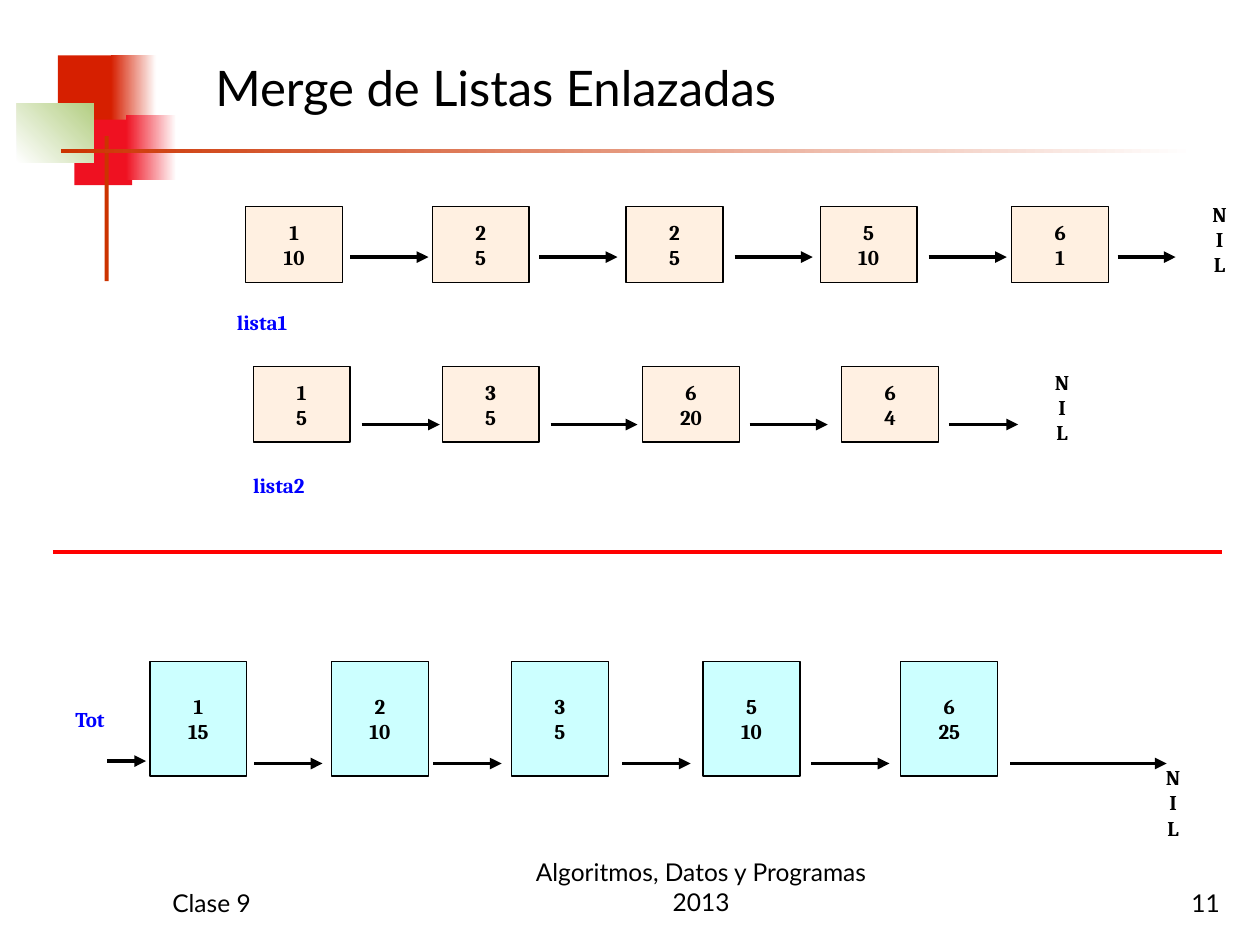
from lxml.etree import SubElement
from pptx import Presentation
from pptx.dml.color import RGBColor
from pptx.enum.shapes import MSO_CONNECTOR, MSO_SHAPE
from pptx.enum.text import MSO_ANCHOR, MSO_AUTO_SIZE, PP_ALIGN
from pptx.oxml.ns import qn
from pptx.util import Pt

BLACK, WHITE, BLUE, RED = "000000", "FFFFFF", "0000FF", "FF0000"
PEACH, CYAN = "FFF0E1", "CCFFFF"
NODE_WIDTH = 55.4
NIL = "N\nI\nL"


def color(value):
    return RGBColor.from_string(value)


def set_values(target, values):
    for name, value in values.items():
        setattr(target, name, value)


class SlideBuilder:
    """Holds the text styles and the slide being drawn."""

    node_font = {"name": "Cambria", "size": Pt(12), "bold": True}
    footer_font = {"name": "Lato", "size": Pt(14), "bold": False}
    title_font = {"name": "Lato", "size": Pt(28), "bold": False}
    margins = {"margin_left": Pt(7.2), "margin_right": Pt(7.2),
               "margin_top": Pt(3.6), "margin_bottom": Pt(3.6)}

    def __init__(self, slide):
        self.slide = slide

    def fill_text(self, shape, text, font, text_color=BLACK, align=PP_ALIGN.CENTER,
                  anchor=MSO_ANCHOR.MIDDLE, wrap=False):
        frame = shape.text_frame
        set_values(frame, self.margins | {
            "text": text, "word_wrap": wrap, "vertical_anchor": anchor,
            "auto_size": MSO_AUTO_SIZE.NONE})
        for paragraph in frame.paragraphs:
            paragraph.alignment = align
            set_values(paragraph.font, font)
            paragraph.font.color.rgb = color(text_color)

    def title(self, text, left, top, width, height):
        shape = self.slide.shapes.title
        set_values(shape, {"left": Pt(left), "top": Pt(top),
                           "width": Pt(width), "height": Pt(height)})
        self.fill_text(shape, text, self.title_font, align=PP_ALIGN.LEFT, wrap=True)

    def text(self, text, left, top, width, height, font, **style):
        shape = self.slide.shapes.add_textbox(Pt(left), Pt(top), Pt(width), Pt(height))
        self.fill_text(shape, text, font, **style)

    def rectangle(self, left, top, width, height):
        shape = self.slide.shapes.add_shape(
            MSO_SHAPE.RECTANGLE, Pt(left), Pt(top), Pt(width), Pt(height))
        shape.shadow.inherit = False
        shape.line.fill.background()
        return shape

    def block(self, box, start, end=None, angle=0):
        """Adds a borderless rectangle, with a gradient if an end colour is given."""
        fill = self.rectangle(*box).fill
        if end is None:
            fill.solid()
            fill.fore_color.rgb = color(start)
            return
        fill.gradient()
        fill.gradient_angle = angle
        for stop, position, value in zip(fill.gradient_stops, (0, 1), (start, end)):
            stop.position = position
            stop.color.rgb = color(value)

    def node(self, text, left, top, height, fill_color, opacity=100):
        shape = self.rectangle(left, top, NODE_WIDTH, height)
        shape.fill.solid()
        shape.fill.fore_color.rgb = color(fill_color)
        if opacity < 100:
            fill = shape._element.spPr.find(qn("a:solidFill"))
            SubElement(fill[0], qn("a:alpha"), val=str(opacity * 1000))
        shape.line.color.rgb = color(BLACK)
        shape.line.width = Pt(0.75)
        self.fill_text(shape, text, self.node_font)

    def line(self, start, end, y, line_color=BLACK, arrow=True):
        connector = self.slide.shapes.add_connector(
            MSO_CONNECTOR.STRAIGHT, Pt(start), Pt(y), Pt(end), Pt(y))
        connector.line.color.rgb = color(line_color)
        connector.line.width = Pt(2.25)
        properties = connector._element.spPr
        if arrow:
            SubElement(properties.find(qn("a:ln")), qn("a:tailEnd"), type="triangle")
        SubElement(properties, qn("a:effectLst"))

    def linked_list(self, nodes, arrows, top, height, arrow_y, nil, fill_color, opacity=100):
        for left, value, count in nodes:
            self.node(f"{value}\n{count}", left, top, height, fill_color, opacity)
        for start, end in arrows:
            self.line(start, end, arrow_y)
        self.text(NIL, *nil, 33.1, 43.2, self.node_font)


def main():
    presentation = Presentation()
    presentation.slide_width, presentation.slide_height = Pt(720), Pt(540)
    slide = presentation.slides.add_slide(presentation.slide_layouts[5])
    builder = SlideBuilder(slide)

    builder.block((33.1, 31.7, 34.6, 37.4), "D61F00")
    builder.block((63.4, 31.7, 25.9, 37.4), "D61F00", WHITE)
    builder.block((42.5, 68.4, 33.1, 37.4), "EF1121")
    builder.block((72, 65.5, 28.8, 37.4), "EF1121", WHITE)
    builder.block((9.7, 59, 43.9, 33.9), WHITE, "B3CE82", angle=45)
    builder.block((59.8, 77.8, 2.3, 82.8), "CC3300")
    builder.block((34.6, 85, 648, 2.3), "CC3300", WHITE)
    builder.title("Merge de Listas Enlazadas", 115.9, 37.4, 566.6, 24.5)

    builder.linked_list(
        [(140.4, 1, 10), (247, 2, 5), (357.8, 2, 5), (468.7, 5, 10), (578.2, 6, 1)],
        [(200.2, 244.8), (308.2, 352.8), (419.8, 464.4), (530.6, 575.3), (638.6, 671.8)],
        top=118.1, height=43.2, arrow_y=146.9, nil=(680.4, 115.2), fill_color=PEACH)
    builder.linked_list(
        [(144.7, 1, 5), (252.7, 3, 5), (367.2, 6, 20), (481, 6, 4)],
        [(206.6, 251.3), (314.6, 364.3), (428.4, 473), (542.2, 581.8)],
        top=209.5, height=43.2, arrow_y=242.6, nil=(590.4, 211), fill_color=PEACH, opacity=95)
    builder.linked_list(
        [(85.7, 1, 15), (189.4, 2, 10), (292.3, 3, 5), (401.8, 5, 10), (514.8, 6, 25)],
        [(145.4, 184.3), (247.7, 286.6), (355.7, 394.6), (463.7, 508.3), (577.4, 666.7)],
        top=378, height=65.5, arrow_y=436.3, nil=(653.8, 437), fill_color=CYAN)

    for name, left, top in (("lista1", 128.2, 173.5), ("lista2", 137.5, 266.4)):
        builder.text(name, left, top, 77.8, 21.6, builder.node_font, text_color=BLUE,
                     align=PP_ALIGN.LEFT, anchor=MSO_ANCHOR.TOP, wrap=True)
    builder.text("Tot", 36, 389.5, 33.8, 43.2, builder.node_font,
                 text_color=BLUE, align=PP_ALIGN.LEFT)
    builder.line(61.2, 83.5, 434.9)
    builder.line(30.2, 698.4, 315.4, RED, arrow=False)

    for text, left, top, width, align in (
            ("Clase 9", 91.4, 491.8, 149.8, PP_ALIGN.LEFT),
            ("11", 554.4, 491.8, 149.8, PP_ALIGN.RIGHT),
            ("Algoritmos, Datos y Programas 2013", 286.6, 491, 228.2, PP_ALIGN.CENTER)):
        builder.text(text, left, top, width, 36, builder.footer_font,
                     align=align, anchor=MSO_ANCHOR.BOTTOM, wrap=True)

    presentation.save("out.pptx")


if __name__ == "__main__":
    main()
